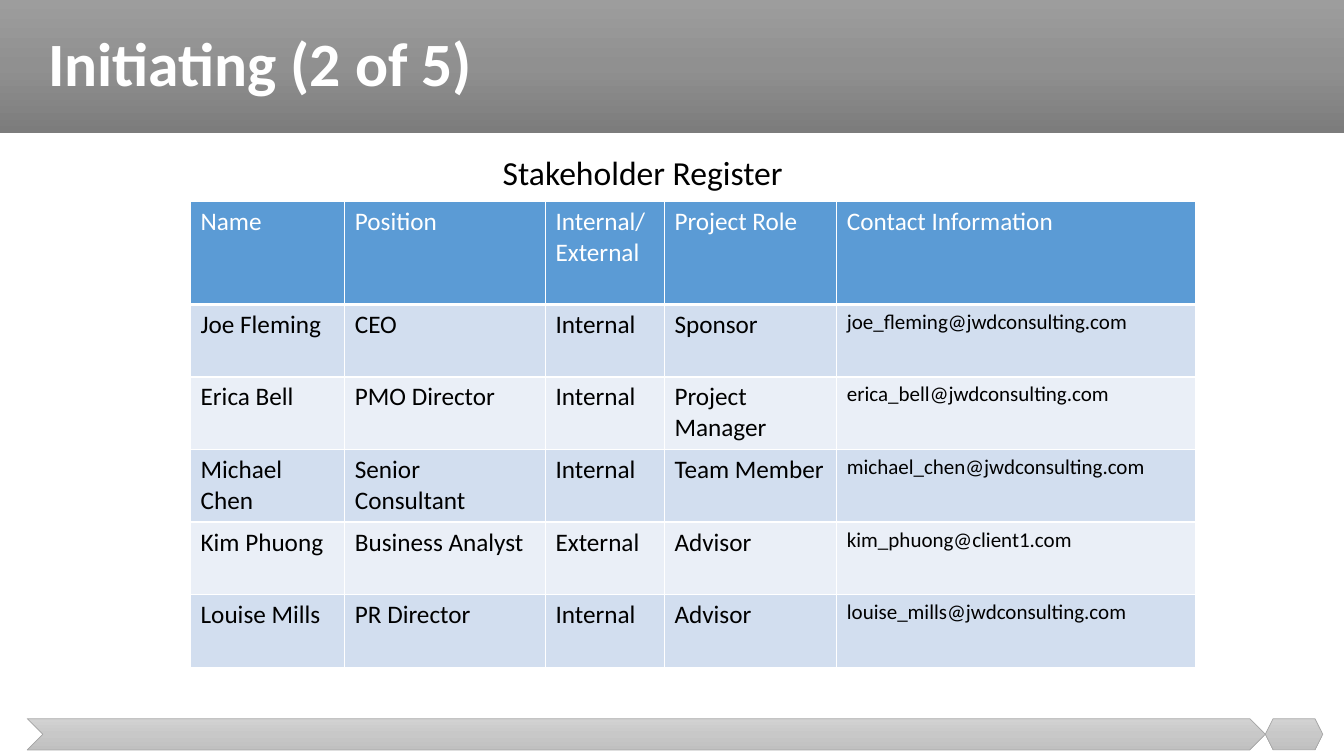
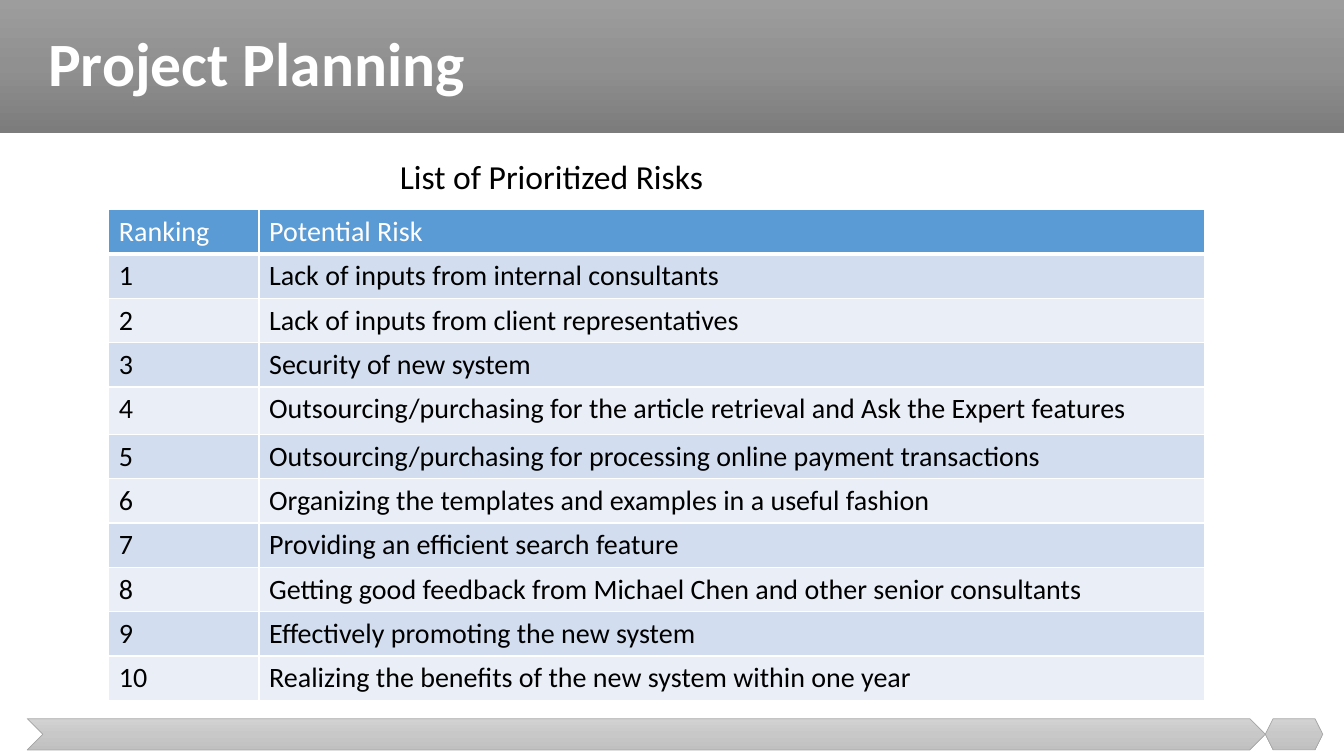
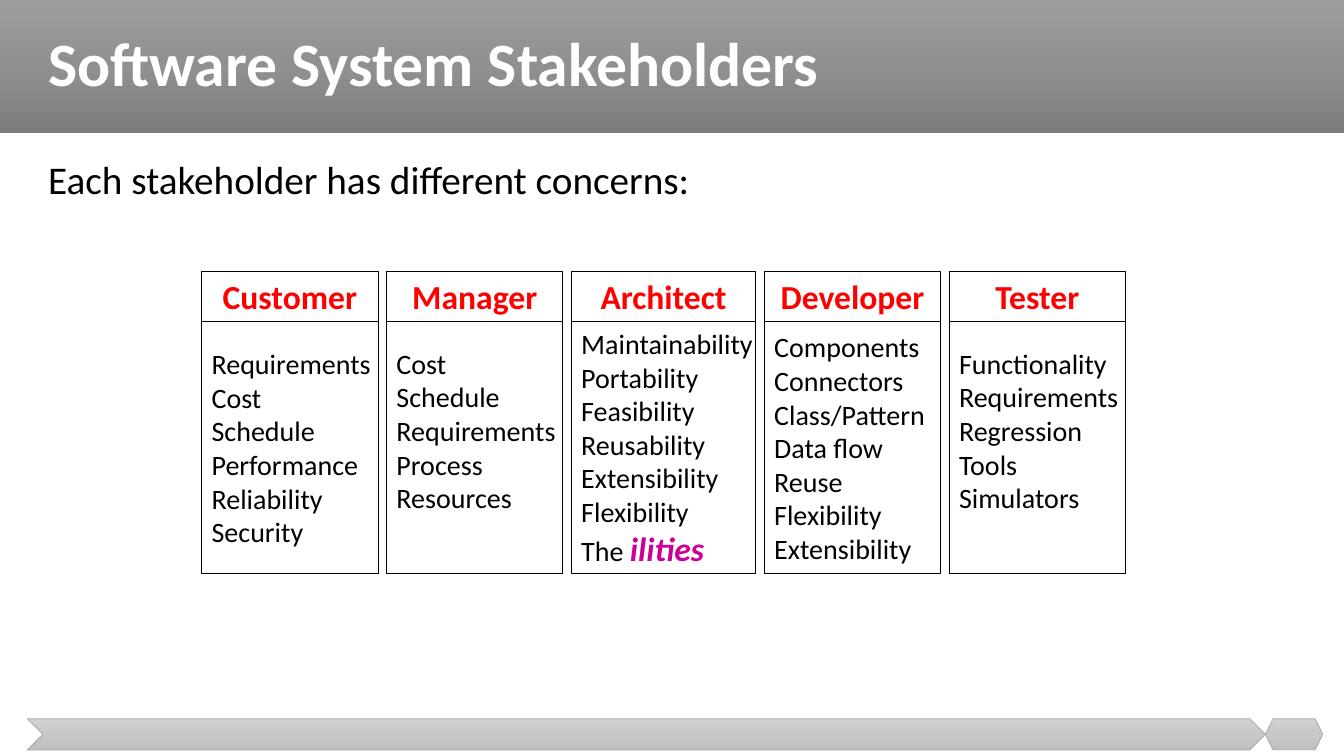
from lxml.etree import SubElement
from pptx import Presentation
from pptx.dml.color import RGBColor
from pptx.enum.shapes import MSO_SHAPE as Shape
from pptx.enum.text import MSO_ANCHOR as Anchor, PP_ALIGN as Align
from pptx.oxml.ns import qn
from pptx.util import Inches, Pt

FONT = "Calibri"
WHITE = RGBColor(0xFF, 0xFF, 0xFF)
BLACK = RGBColor(0x00, 0x00, 0x00)
RED = RGBColor(0xFF, 0x00, 0x00)
MAGENTA = RGBColor(0xCC, 0x00, 0x99)
GREY = RGBColor(0xA5, 0xA5, 0xA5)
HEADER_BLUE = RGBColor(0x5B, 0x9B, 0xD5)
ROW_BLUES = (RGBColor(0xEA, 0xEF, 0xF7), RGBColor(0xD2, 0xDE, 0xEF))
BAND_GREYS = (RGBColor(0x9D, 0x9D, 0x9D), RGBColor(0x90, 0x90, 0x90), RGBColor(0x7C, 0x7C, 0x7C))
FOOTER_GREYS = (RGBColor(0xD2, 0xD2, 0xD2), RGBColor(0xC8, 0xC8, 0xC8), RGBColor(0xC0, 0xC0, 0xC0))

STAKEHOLDERS = [
    ("Name", "Position", "Internal/External", "Project Role", "Contact Information"),
    ("Joe Fleming", "CEO", "Internal", "Sponsor", "joe_fleming@jwdconsulting.com"),
    ("Erica Bell", "PMO Director", "Internal", "Project Manager", "erica_bell@jwdconsulting.com"),
    ("Michael Chen", "Senior Consultant", "Internal", "Team Member", "michael_chen@jwdconsulting.com"),
    ("Kim Phuong", "Business Analyst", "External", "Advisor", "kim_phuong@client1.com"),
    ("Louise Mills", "PR Director", "Internal", "Advisor", "louise_mills@jwdconsulting.com"),
]

RISKS = [
    "Lack of inputs from internal consultants",
    "Lack of inputs from client representatives",
    "Security of new system",
    "Outsourcing/purchasing for the article retrieval and Ask the Expert features",
    "Outsourcing/purchasing for processing online payment transactions",
    "Organizing the templates and examples in a useful fashion",
    "Providing an efficient search feature",
    "Getting good feedback from Michael Chen and other senior consultants",
    "Effectively promoting the new system",
    "Realizing the benefits of the new system within one year",
]

CONCERNS = [
    ("Customer", 1.75, 0.05,
     ["Requirements", "Cost", "Schedule", "Performance", "Reliability", "Security"]),
    ("Manager", 1.75, 0.39,
     ["Cost", "Schedule", "Requirements", "Process", "Resources"]),
    ("Architect", 1.83, 0.05,
     ["Maintainability", "Portability", "Feasibility", "Reusability", "Extensibility",
      "Flexibility", "The "]),
    ("Developer", 1.75, 0.05,
     ["Components", "Connectors", "Class/Pattern", "Data flow", "Reuse", "Flexibility",
      "Extensibility"]),
    ("Tester", 1.75, 0.39,
     ["Functionality", "Requirements", "Regression", "Tools", "Simulators"]),
]


def style_font(font, size, color, bold=False):
    font.name = FONT
    font.size = Pt(size)
    font.color.rgb = color
    font.bold = bold


def write_lines(frame, lines, size, color, bold=False, align=Align.LEFT):
    for index, line in enumerate(lines):
        para = frame.paragraphs[0] if index == 0 else frame.add_paragraph()
        para.text = line
        para.alignment = align
        style_font(para.font, size, color, bold)


def add_text(page, place, text, size, color=BLACK, **style):
    box = page.shapes.add_textbox(*map(Inches, place))
    box.text_frame.word_wrap = True
    write_lines(box.text_frame, [text], size, color, **style)
    return box


def add_gradient_shape(page, kind, place, colors, outlined=True):
    shape = page.shapes.add_shape(kind, *map(Inches, place))
    shape.shadow.inherit = False
    shape.fill.gradient()
    shape.fill.gradient_angle = 270
    stops = next(shape._element.iter(qn("a:gsLst")))
    for stop in list(stops):
        stops.remove(stop)
    for index, color in enumerate(colors):
        stop = SubElement(stops, qn("a:gs"), pos=str(index * 50000))
        SubElement(stop, qn("a:srgbClr"), val=str(color))
    if outlined:
        shape.line.color.rgb = GREY
        shape.line.width = Pt(0.5)
    else:
        shape.line.fill.background()


def add_page(deck, title):
    page = deck.slides.add_slide(deck.slide_layouts[6])
    add_gradient_shape(page, Shape.RECTANGLE, (0, 0, 13.33, 1.32), BAND_GREYS, outlined=False)
    add_gradient_shape(page, Shape.CHEVRON, (0.27, 7.13, 12.28, 0.31), FOOTER_GREYS)
    add_gradient_shape(page, Shape.HEXAGON, (12.55, 7.13, 0.57, 0.31), FOOTER_GREYS)
    box = add_text(page, (0.38, 0, 12.74, 1.32), title, 44, WHITE, bold=True)
    box.text_frame.vertical_anchor = Anchor.MIDDLE
    box.text_frame.paragraphs[0].line_spacing = 0.9
    return page


def set_borders(cell, bottom):
    properties = cell._tc.get_or_add_tcPr()
    for side, width in (("L", 1), ("R", 1), ("T", 1), ("B", bottom)):
        line = SubElement(properties, qn(f"a:ln{side}"), w=str(Pt(width)))
        fill = SubElement(line, qn("a:solidFill"))
        SubElement(fill, qn("a:srgbClr"), val=str(WHITE))


def add_grid(page, left, top, widths, heights, rows, size, small_column=None):
    table = page.shapes.add_table(
        len(rows), len(widths), Inches(left), Inches(top),
        Inches(sum(widths)), Inches(sum(heights))).table
    for column, width in zip(table.columns, widths):
        column.width = Inches(width)
    for row_index, (row, height) in enumerate(zip(rows, heights)):
        table.rows[row_index].height = Inches(height)
        header = row_index == 0
        for column_index, text in enumerate(row):
            cell = table.cell(row_index, column_index)
            set_borders(cell, bottom=3 if header else 1)
            cell.fill.solid()
            cell.fill.fore_color.rgb = HEADER_BLUE if header else ROW_BLUES[row_index % 2]
            small = column_index == small_column and not header
            write_lines(cell.text_frame, [text], 15 if small else size,
                        WHITE if header else BLACK)


def add_frame(page, place, lines, size, color, foot=0.05, **style):
    shape = page.shapes.add_shape(Shape.RECTANGLE, *map(Inches, place))
    shape.shadow.inherit = False
    shape.fill.background()
    shape.line.color.rgb = BLACK
    shape.line.width = Pt(0.75)
    frame = shape.text_frame
    frame.word_wrap = False
    frame.vertical_anchor = Anchor.MIDDLE
    frame.margin_bottom = Inches(foot)
    write_lines(frame, lines, size, color, **style)
    return frame


def build_register(deck):
    page = add_page(deck, "Initiating (2 of 5)")
    add_grid(page, 1.89, 2, (1.53, 1.99, 1.18, 1.71, 3.56), [1.02] + [0.72] * 5,
             STAKEHOLDERS, 18, small_column=4)
    add_text(page, (2, 1.46, 8.75, 0.5), "Stakeholder Register", 24, align=Align.CENTER)


def build_risks(deck):
    page = add_page(deck, "Project Planning")
    rows = [("Ranking", "Potential Risk")]
    rows += [(str(rank), risk) for rank, risk in enumerate(RISKS, 1)]
    heights = [0.44] * 4 + [0.47] + [0.44] * 6
    add_grid(page, 1.08, 2.08, (1.49, 9.38), heights, rows, 20)
    add_text(page, (3.49, 1.5, 3.96, 0.5), "List of Prioritized Risks", 24, align=Align.CENTER)


def build_concerns(deck):
    page = add_page(deck, "Software System Stakeholders")
    intro = add_text(page, (0.38, 1.54, 12.74, 0.6), "Each stakeholder has different concerns:", 28)
    intro.text_frame.paragraphs[0].line_spacing = 0.9
    left, gap = 2, 1 / 12
    for role, width, foot, concerns in CONCERNS:
        frame = add_frame(page, (left, 3.19, width, 2.5), concerns, 20, BLACK, foot)
        if role == "Architect":
            span = frame.paragraphs[-1].add_run()
            span.text = "ilities"
            style_font(span.font, 24, MAGENTA, bold=True)
            span.font.italic = True
        add_frame(page, (left, 2.69, width, 0.5), [role], 24, RED, bold=True, align=Align.CENTER)
        left += width + gap


def main():
    deck = Presentation()
    deck.slide_width = Inches(13.33)
    deck.slide_height = Inches(7.5)
    build_register(deck)
    build_risks(deck)
    build_concerns(deck)
    deck.save("out.pptx")


if __name__ == "__main__":
    main()
